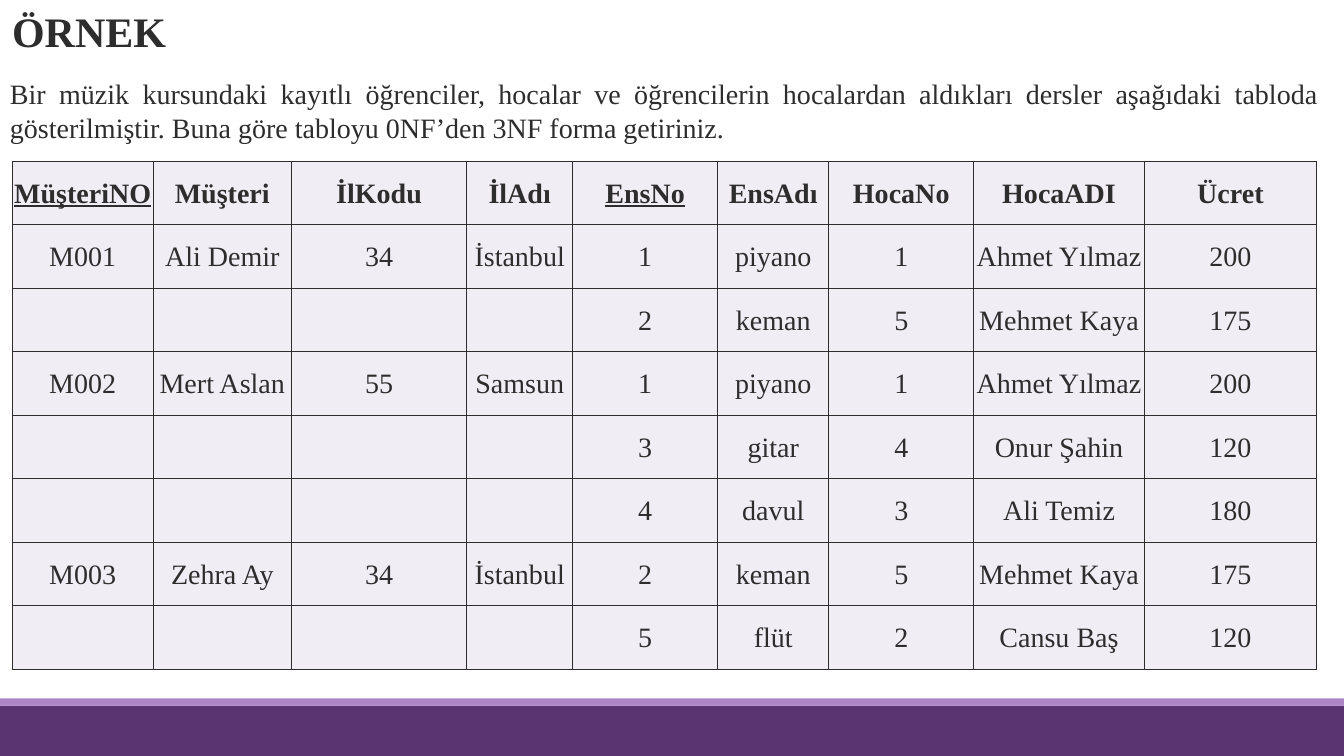
"""Build a slide with a music course table to be normalised from 0NF to 3NF."""
from lxml import etree
from pptx import Presentation
from pptx.dml.color import RGBColor
from pptx.enum.shapes import MSO_SHAPE
from pptx.enum.text import MSO_ANCHOR, MSO_AUTO_SIZE, PP_ALIGN
from pptx.oxml.ns import qn
from pptx.util import Inches, Pt

RECT = MSO_SHAPE.RECTANGLE
MIDDLE, TOP = MSO_ANCHOR.MIDDLE, MSO_ANCHOR.TOP
LEFT, CENTER, JUSTIFY = PP_ALIGN.LEFT, PP_ALIGN.CENTER, PP_ALIGN.JUSTIFY
NO_AUTOFIT = MSO_AUTO_SIZE.NONE

INK = RGBColor(0x2D, 0x2D, 0x2D)
PURPLE = RGBColor(0x5A, 0x34, 0x71)
LILAC = RGBColor(0xAD, 0x84, 0xC6)
CELL_FILL = RGBColor(0xF1, 0xED, 0xF5)
FONT = "Times New Roman"

WIDTH, HEIGHT = 13.33, 7.5
MARGIN = 0.12
TITLE_H = 0.68
TABLE_TOP = 1.6
ROW_H = 0.63
COL_WIDTHS = [1.4, 1.37, 1.74, 1.05, 1.44, 1.1, 1.44, 1.69, 1.71]
KEYS = {"MüşteriNO", "EnsNo"}
NO_CUSTOMER = [""] * 4
ROWS = [
    ["MüşteriNO", "Müşteri", "İlKodu", "İlAdı", "EnsNo", "EnsAdı", "HocaNo", "HocaADI", "Ücret"],
    ["M001", "Ali Demir", "34", "İstanbul", "1", "piyano", "1", "Ahmet Yılmaz", "200"],
    NO_CUSTOMER + ["2", "keman", "5", "Mehmet Kaya", "175"],
    ["M002", "Mert Aslan", "55", "Samsun", "1", "piyano", "1", "Ahmet Yılmaz", "200"],
    NO_CUSTOMER + ["3", "gitar", "4", "Onur Şahin", "120"],
    NO_CUSTOMER + ["4", "davul", "3", "Ali Temiz", "180"],
    ["M003", "Zehra Ay", "34", "İstanbul", "2", "keman", "5", "Mehmet Kaya", "175"],
    NO_CUSTOMER + ["5", "flüt", "2", "Cansu Baş", "120"],
]


def write(tf, text, size, align, bold=False, underline=False):
    """Set one paragraph of text and format its run."""
    tf.text = text
    p = tf.paragraphs[0]
    p.alignment = align
    for r in p.runs:
        r.font.name = FONT
        r.font.size = Pt(size)
        r.font.bold = bold
        r.font.underline = underline
        r.font.color.rgb = INK
    return p


def add_borders(cell):
    """Draw a thin line on all four sides of a table cell."""
    tc_pr = cell._tc.get_or_add_tcPr()
    for i, side in enumerate(("a:lnL", "a:lnR", "a:lnT", "a:lnB")):
        ln = etree.Element(qn(side), w=str(Pt(1)))
        fill = etree.SubElement(ln, qn("a:solidFill"))
        etree.SubElement(fill, qn("a:srgbClr"), val=str(INK))
        tc_pr.insert(i, ln)


prs = Presentation()
prs.slide_width, prs.slide_height = Inches(WIDTH), Inches(HEIGHT)
s = prs.slides.add_slide(prs.slide_layouts[5])

for top, height, color in ((7, 0.5, PURPLE), (6.93, 0.07, LILAC)):
    sp = s.shapes.add_shape(RECT, 0, Inches(top), prs.slide_width, Inches(height))
    sp.shadow.inherit = False
    sp.fill.solid()
    sp.fill.fore_color.rgb = color
    sp.line.fill.background()

title = s.shapes.title
title.left, title.top = Inches(MARGIN), 0
title.width, title.height = Inches(WIDTH - MARGIN), Inches(TITLE_H)
tf = title.text_frame
tf.auto_size = NO_AUTOFIT
tf.vertical_anchor = MIDDLE
tf.margin_left = tf.margin_right = 0
p = write(tf, "ÖRNEK", 30, LEFT, bold=True)
p.line_spacing = 0.9

task = s.shapes.add_textbox(0, Inches(TITLE_H), Inches(13.08), Inches(6.38))
tf = task.text_frame
tf.word_wrap = True
tf.vertical_anchor = TOP
tf.margin_left, tf.margin_right, tf.margin_top = Inches(0.1), 0, Inches(0.08)
write(tf, "Bir müzik kursundaki kayıtlı öğrenciler, hocalar ve öğrencilerin "
          "hocalardan aldıkları dersler aşağıdaki tabloda gösterilmiştir. "
          "Buna göre tabloyu 0NF’den 3NF forma getiriniz.", 20, JUSTIFY)

frame = s.shapes.add_table(len(ROWS), len(COL_WIDTHS), Inches(MARGIN), Inches(TABLE_TOP),
                           Inches(sum(COL_WIDTHS)), Inches(ROW_H * len(ROWS)))
table = frame.table
for column, width in zip(table.columns, COL_WIDTHS):
    column.width = Inches(width)
for i, values in enumerate(ROWS):
    table.rows[i].height = Inches(ROW_H)
    for j, value in enumerate(values):
        cell = table.cell(i, j)
        cell.fill.solid()
        cell.fill.fore_color.rgb = CELL_FILL
        cell.vertical_anchor = MIDDLE
        cell.margin_left = cell.margin_right = cell.margin_top = Inches(0.01)
        cell.margin_bottom = 0
        write(cell.text_frame, value, 20, CENTER, bold=i == 0, underline=value in KEYS)
        add_borders(cell)

prs.save("out.pptx")
